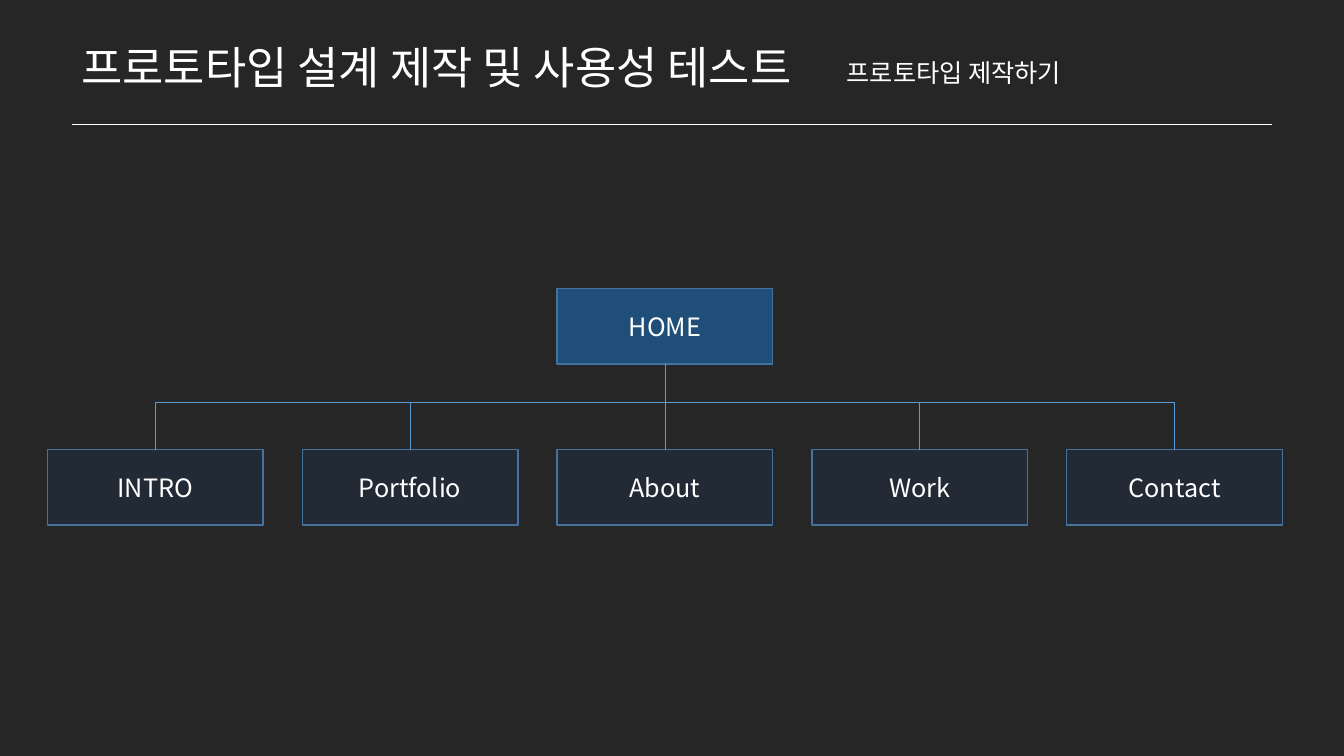
from lxml.etree import SubElement
from pptx import Presentation
from pptx.dml.color import RGBColor
from pptx.enum.shapes import MSO_CONNECTOR as Link, MSO_SHAPE as Shape
from pptx.enum.text import MSO_ANCHOR as Anchor, MSO_AUTO_SIZE as Fit, PP_ALIGN as Align
from pptx.oxml.ns import qn
from pptx.util import Inches, Pt

FONT = "Noto Sans CJK KR"
WHITE, BLUE, EDGE = "FFFFFF", "5B9BD5", "43739E"
PAGES = ["INTRO", "Portfolio", "About", "Work", "Contact"]
LEFT, LAST = 0.47, 10.58
WIDE, TALL = 2.14, 0.75
STEP = (LAST - LEFT) / (len(PAGES) - 1)
TOP, RAIL, ROW = 2.86, 3.99, 4.46
RULE = 1.23


def color(code):
    return RGBColor.from_string(code)


def column(index):
    return LEFT + index * STEP


def middle(index):
    return column(index) + WIDE / 2


def write(frame, text, size, align=Align.LEFT):
    line = frame.paragraphs[0]
    line.text = text
    line.alignment = align
    font = line.font
    font.size = Pt(size)
    font.color.rgb = color(WHITE)
    font.name = FONT
    SubElement(line._p.pPr.find(qn("a:defRPr")), qn("a:ea"), typeface=FONT)


def add_label(slide, area, text, size, wrap):
    frame = slide.shapes.add_textbox(*map(Inches, area)).text_frame
    frame.word_wrap = wrap
    frame.auto_size = Fit.SHAPE_TO_FIT_TEXT
    write(frame, text, size)


def add_node(slide, index, top, text, fill):
    area = column(index), top, WIDE, TALL
    node = slide.shapes.add_shape(Shape.FLOWCHART_PROCESS, *map(Inches, area))
    node.shadow.inherit = False
    node.fill.solid()
    node.fill.fore_color.rgb = color(fill)
    node.line.color.rgb = color(EDGE)
    node.line.width = Pt(1)
    node.text_frame.vertical_anchor = Anchor.MIDDLE
    write(node.text_frame, text, 18, Align.CENTER)
    return node


def add_line(slide, start, end, shade):
    points = map(Inches, (*start, *end))
    line = slide.shapes.add_connector(Link.STRAIGHT, *points)
    line.line.color.rgb = color(shade)
    line.line.width = Pt(0.5)
    SubElement(line._element.spPr, qn("a:effectLst"))
    return line


def add_tree(slide):
    center = len(PAGES) // 2
    home = add_node(slide, center, TOP, "HOME", "1F4E79")
    add_line(slide, (middle(0), RAIL), (middle(len(PAGES) - 1), RAIL), BLUE)
    for index, name in enumerate(PAGES):
        page = add_node(slide, index, ROW, name, "222A35")
        spot = middle(index)
        stem = add_line(slide, (spot, RAIL), (spot, ROW), BLUE)
        if index == center:
            stem.begin_connect(home, 2)
        stem.end_connect(page, 0)


def main():
    deck = Presentation()
    deck.slide_width, deck.slide_height = Inches(13.33), Inches(7.5)
    slide = deck.slides.add_slide(deck.slide_layouts[6])
    slide.background.fill.solid()
    slide.background.fill.fore_color.rgb = color("262626")
    add_label(slide, (0.71, 0.34, 12.06, 1.18),
              "프로토타입 설계 제작 및 사용성 테스트", 32, True)
    add_tree(slide)
    add_line(slide, (0.71, RULE), (12.62, RULE), WHITE)
    add_label(slide, (8.3, 0.52, 2.56, 0.4), "프로토타입 제작하기", 18, False)
    deck.save("out.pptx")


if __name__ == "__main__":
    main()
